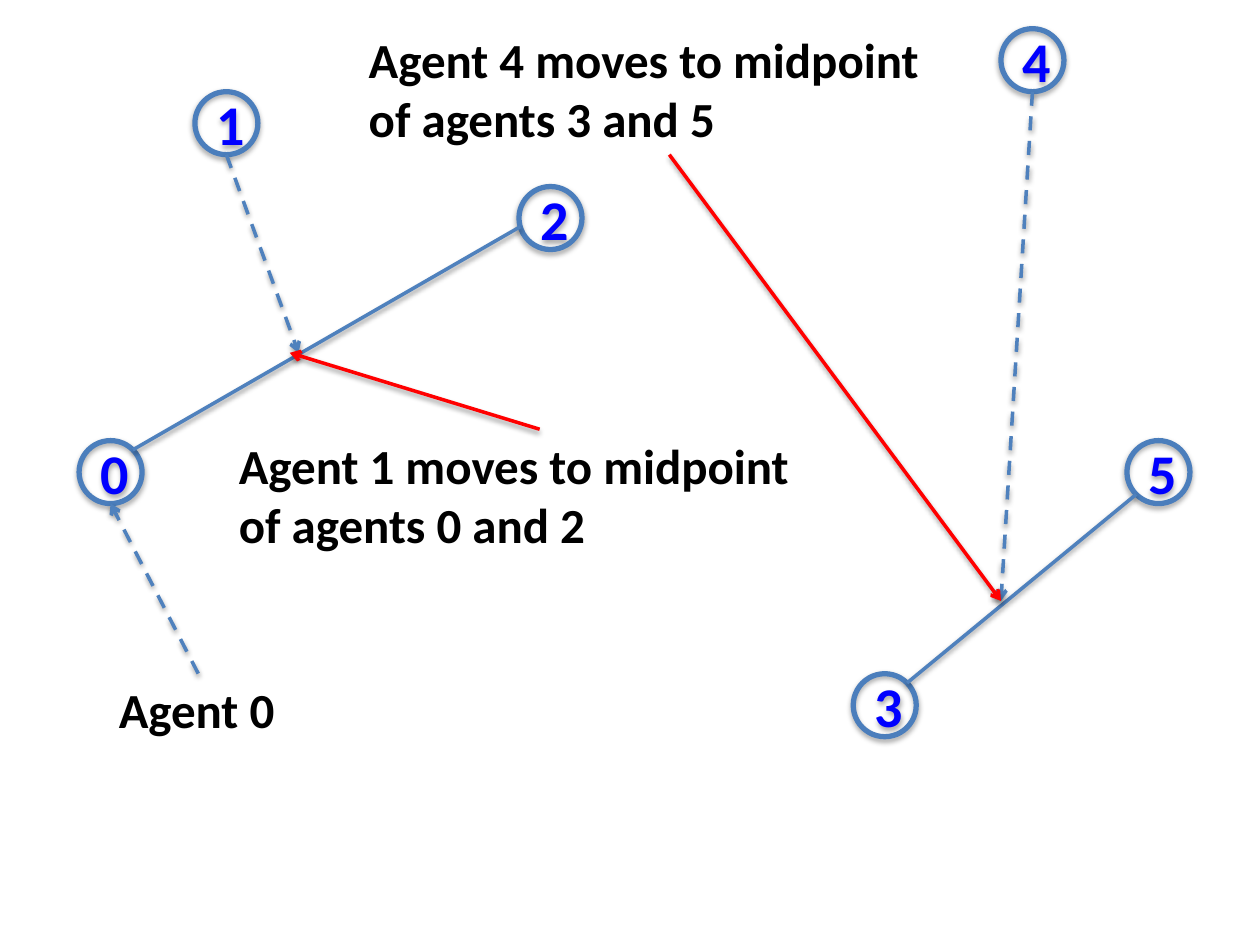
import math

from pptx import Presentation
from pptx.dml.color import RGBColor
from pptx.enum import dml, shapes, text
from pptx.oxml import ns
from pptx.util import Pt
from lxml import etree

RING = RGBColor(0x4B, 0x7E, 0xBC)
BLUE = RGBColor(0x4F, 0x81, 0xBD)
RED = RGBColor(0xFF, 0x00, 0x00)
DIGIT = RGBColor(0x00, 0x00, 0xFF)
BLACK = RGBColor(0x00, 0x00, 0x00)
SHADOW = RGBColor(0x00, 0x00, 0x00)

RADIUS = 18
AGENTS = [(63.2, 269.8), (129.4, 70.4), (314.6, 124.6),
          (505.6, 403), (590, 34.4), (662, 269.8)]
TARGET_1 = (170.6, 201.6)
TARGET_4 = (572, 343.4)


def rim(agent, degrees):
    """Point on an agent's circle, clockwise from the right."""
    x, y = AGENTS[agent]
    angle = math.radians(degrees)
    return x + RADIUS * math.cos(angle), y + RADIUS * math.sin(angle)


def add_shadow(shape, opacity, distance):
    properties = shape._element.spPr
    effects = properties.find(ns.qn("a:effectLst"))
    if effects is None:
        effects = etree.SubElement(properties, ns.qn("a:effectLst"))
    outer = etree.SubElement(
        effects, ns.qn("a:outerShdw"), blurRad=str(Pt(3.1)),
        dist=str(Pt(distance)), dir="5400000", rotWithShape="0")
    color = etree.SubElement(outer, ns.qn("a:srgbClr"), val=str(SHADOW))
    etree.SubElement(color, ns.qn("a:alpha"), val=str(opacity * 1000))


def add_text(paragraph, content, size, color):
    run = paragraph.add_run()
    run.text = content
    run.font.name = "Calibri"
    run.font.size = Pt(size)
    run.font.bold = True
    run.font.color.rgb = color


def add_agent(slide, number, center):
    x, y = center
    circle = slide.shapes.add_shape(
        shapes.MSO_SHAPE.OVAL, Pt(x - RADIUS), Pt(y - RADIUS),
        Pt(2 * RADIUS), Pt(2 * RADIUS))
    circle.fill.background()
    circle.line.color.rgb = RING
    circle.line.width = Pt(3)
    circle.shadow.inherit = False
    add_shadow(circle, 35, 1.8)
    frame = circle.text_frame
    frame.vertical_anchor = text.MSO_ANCHOR.MIDDLE
    frame.paragraphs[0].alignment = text.PP_ALIGN.CENTER
    add_text(frame.paragraphs[0], str(number), 32, DIGIT)


def add_line(slide, start, end, color=BLUE, dashed=False, arrow=False):
    line = slide.shapes.add_connector(
        shapes.MSO_CONNECTOR.STRAIGHT, *(Pt(value) for value in (*start, *end)))
    line.line.color.rgb = color
    line.line.width = Pt(2)
    if dashed:
        line.line.dash_style = dml.MSO_LINE.DASH
    if arrow:
        etree.SubElement(line.line._get_or_add_ln(), ns.qn("a:tailEnd"), type="arrow")
    add_shadow(line, 38, 1.6)


def add_label(slide, lines, left, top, width, height, wrap=True):
    box = slide.shapes.add_textbox(Pt(left), Pt(top), Pt(width), Pt(height))
    frame = box.text_frame
    frame.word_wrap = wrap
    frame.auto_size = text.MSO_AUTO_SIZE.SHAPE_TO_FIT_TEXT
    paragraph = frame.paragraphs[0]
    for index, content in enumerate(lines):
        if index:
            paragraph.add_line_break()
        add_text(paragraph, content, 28, BLACK)


def main():
    presentation = Presentation()
    presentation.slide_width = Pt(720)
    presentation.slide_height = Pt(540)
    slide = presentation.slides.add_slide(presentation.slide_layouts[6])

    for number, center in enumerate(AGENTS):
        add_agent(slide, number, center)

    add_line(slide, rim(0, -45), rim(2, 164))
    add_line(slide, rim(1, 90), TARGET_1, dashed=True, arrow=True)
    add_line(slide, rim(3, -45), rim(5, 135))
    add_line(slide, rim(4, 90), TARGET_4, dashed=True, arrow=True)

    add_label(slide, ["Agent 0"], 60.8, 384.9, 105.1, 41.2, wrap=False)
    add_line(slide, (113.3, 384.9), rim(0, 90), dashed=True, arrow=True)

    add_label(slide, ["Agent 1 moves to midpoint", "of agents 0 and 2"],
              129.4, 245.5, 358.6, 75)
    add_line(slide, (308.4, 245.3), (165.6, 201.6), RED, arrow=True)

    add_label(slide, ["Agent 4 moves to midpoint", "of agents 3 and 5"],
              203.6, 13.2, 358.6, 75)
    add_line(slide, (382.5, 88.4), TARGET_4, RED, arrow=True)

    presentation.save("out.pptx")


if __name__ == "__main__":
    main()
